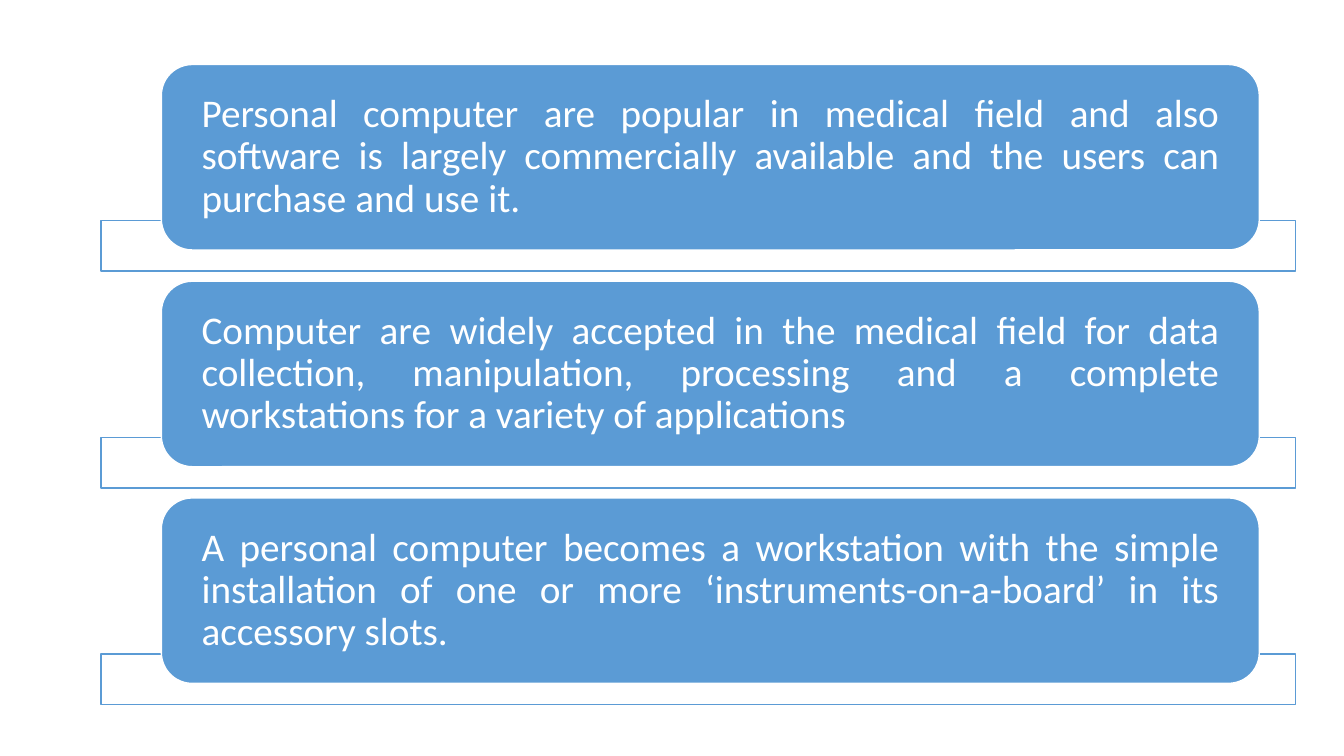
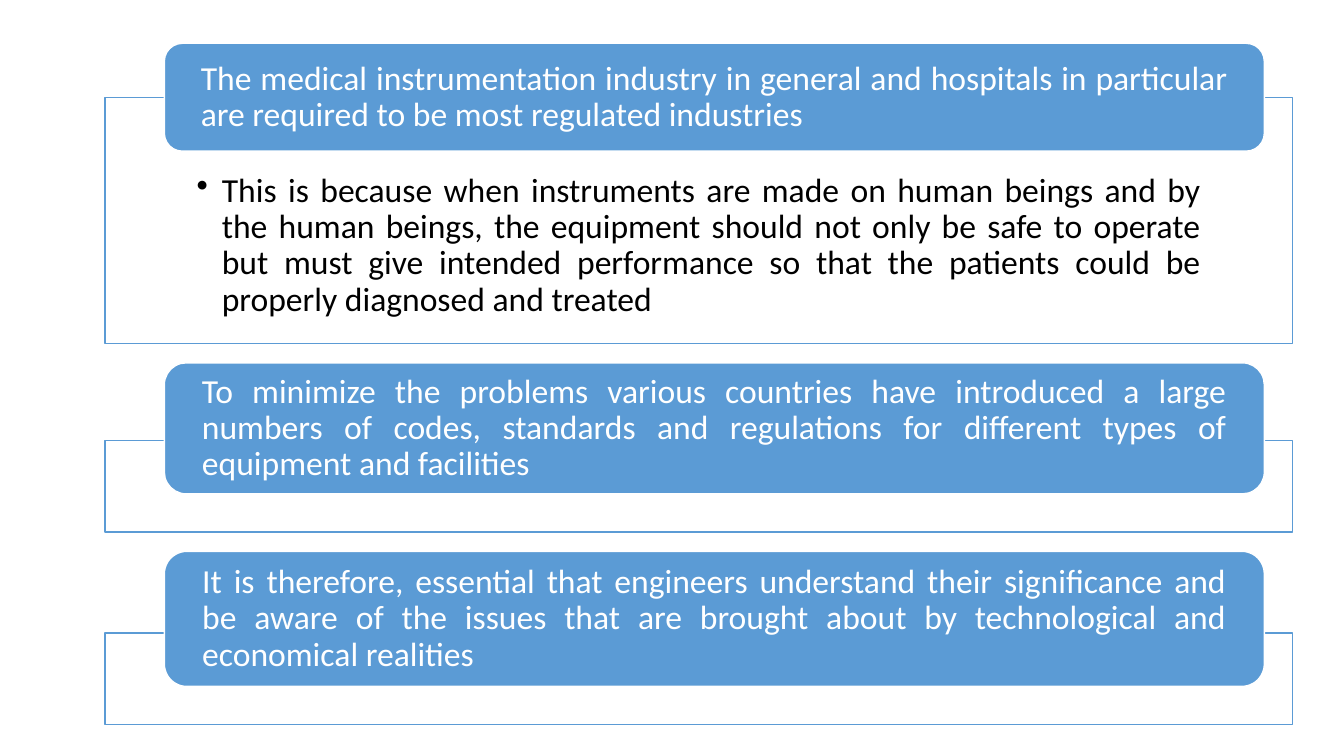
from dataclasses import dataclass

from lxml import etree
from pptx import Presentation
from pptx.dml.color import RGBColor
from pptx.enum.shapes import MSO_SHAPE
from pptx.enum.text import MSO_ANCHOR, PP_ALIGN
from pptx.oxml.ns import qn
from pptx.util import Inches, Pt


@dataclass(frozen=True)
class Theme:
    accent: RGBColor = RGBColor(0x5B, 0x9B, 0xD5)
    light: RGBColor = RGBColor(0xFF, 0xFF, 0xFF)
    dark: RGBColor = RGBColor(0x00, 0x00, 0x00)
    font: str = "Calibri"
    line_width: float = 1
    line_spacing: float = 0.9


THEME = Theme()
HEADER_INSETS = {"margin_left": 0.31, "margin_top": 0, "margin_right": 0.31, "margin_bottom": 0}
DETAIL_INSETS = {"margin_left": 0.91, "margin_top": 0.75, "margin_right": 0.91, "margin_bottom": 0.19}
BULLET_INDENT = 0.25

# Lengths are inches. Each header overlaps the frame below it.
SLIDES = [
    {
        "top": 0.64, "gap": 0.1, "overlap": 0.29, "size": 28,
        "header": (1.6, 10.89), "frame": (1, 11.85),
        "items": [
            {"header_height": 1.84, "frame_height": 0.5,
             "text": "Personal computer are popular in medical field and also software is "
                     "largely commercially available and the users can purchase and use it."},
            {"header_height": 1.84, "frame_height": 0.5,
             "text": "Computer are widely accepted in the medical field for data collection, "
                     "manipulation, processing and a complete workstations for a variety of "
                     "applications"},
            {"header_height": 1.84, "frame_height": 0.5,
             "text": "A personal computer becomes a workstation with the simple installation of "
                     "one or more ‘instruments-on-a-board’ in its accessory slots."},
        ],
    },
    {
        "top": 0.43, "gap": 0.19, "overlap": 0.53, "size": 24,
        "header": (1.63, 10.91), "frame": (1.04, 11.78),
        "items": [
            {"header_height": 1.07, "frame_height": 2.44,
             "text": "The medical instrumentation industry in general and hospitals in "
                     "particular are required to be most regulated industries",
             "detail": "This is because when instruments are made on human beings and by the "
                       "human beings, the equipment should not only be safe to operate but must "
                       "give intended performance so that the patients could be properly "
                       "diagnosed and treated"},
            {"header_height": 1.3, "frame_height": 0.91,
             "text": "To minimize the problems various countries have introduced a large numbers "
                     "of codes, standards and regulations for different types of equipment and "
                     "facilities"},
            {"header_height": 1.34, "frame_height": 0.91,
             "text": "It is therefore, essential that engineers understand their significance "
                     "and be aware of the issues that are brought about by technological and "
                     "economical realities"},
        ],
    },
]


def set_all(target, values):
    for name, value in values.items():
        setattr(target, name, value)


def add_box(slide, kind, box, fill, line):
    shape = slide.shapes.add_shape(kind, *map(Inches, box))
    shape.shadow.inherit = False
    shape.fill.solid()
    shape.fill.fore_color.rgb = fill
    shape.line.color.rgb = line
    shape.line.width = Pt(THEME.line_width)
    return shape


def write_text(shape, text, size, color, anchor, insets, bullet=False):
    frame = shape.text_frame
    set_all(frame, {name: Inches(inset) for name, inset in insets.items()})
    set_all(frame, {"word_wrap": True, "vertical_anchor": anchor})
    paragraph = frame.paragraphs[0]
    paragraph.text = text
    set_all(paragraph, {"alignment": PP_ALIGN.JUSTIFY, "line_spacing": THEME.line_spacing})
    if bullet:
        properties = paragraph._p.get_or_add_pPr()
        properties.set("marL", str(Inches(BULLET_INDENT)))
        properties.set("indent", str(-Inches(BULLET_INDENT)))
        etree.SubElement(properties, qn("a:buChar")).set("char", "•")
    set_all(paragraph.font, {"name": THEME.font, "size": Pt(size)})
    paragraph.font.color.rgb = color


def add_stack(slide, content):
    """Stack the items downwards, each a frame with a header over its top edge."""
    header_left, header_width = content["header"]
    frame_left, frame_width = content["frame"]
    top = content["top"]
    for item in content["items"]:
        frame_top = top + item["header_height"] - content["overlap"]
        frame = add_box(slide, MSO_SHAPE.RECTANGLE,
                        (frame_left, frame_top, frame_width, item["frame_height"]),
                        THEME.light, THEME.accent)
        if "detail" in item:
            write_text(frame, item["detail"], content["size"], THEME.dark,
                       MSO_ANCHOR.TOP, DETAIL_INSETS, bullet=True)
        header = add_box(slide, MSO_SHAPE.ROUNDED_RECTANGLE,
                         (header_left, top, header_width, item["header_height"]),
                         THEME.accent, THEME.light)
        write_text(header, item["text"], content["size"], THEME.light,
                   MSO_ANCHOR.MIDDLE, HEADER_INSETS)
        top = frame_top + item["frame_height"] + content["gap"]


def main():
    presentation = Presentation()
    set_all(presentation, {"slide_width": Inches(13.33), "slide_height": Inches(7.5)})
    blank_layout = presentation.slide_layouts.get_by_name("Blank")
    for content in SLIDES:
        add_stack(presentation.slides.add_slide(blank_layout), content)
    presentation.save("out.pptx")


if __name__ == "__main__":
    main()
